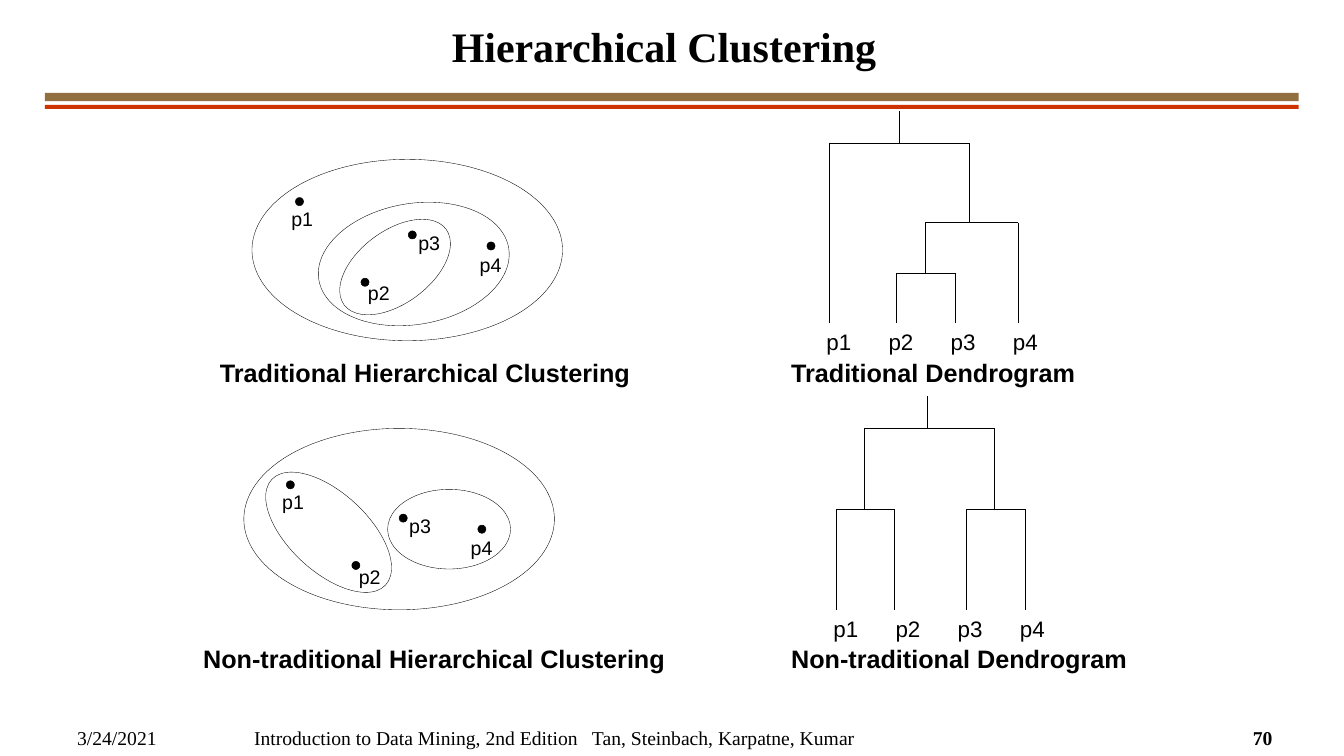
from pptx import Presentation
from pptx.dml.color import RGBColor
from pptx.enum.shapes import MSO_CONNECTOR, MSO_SHAPE
from pptx.enum.text import MSO_ANCHOR, MSO_AUTO_SIZE, PP_ALIGN
from pptx.oxml.ns import qn
from pptx.util import Pt
from lxml import etree

LINE, RECT, OVAL = MSO_CONNECTOR.STRAIGHT, MSO_SHAPE.RECTANGLE, MSO_SHAPE.OVAL
LOW, MID, FIXED = MSO_ANCHOR.BOTTOM, PP_ALIGN.CENTER, MSO_AUTO_SIZE.NONE
SANS, SERIF, BLACK = "Arial", "Times New Roman", "000000"

# Content: all lengths in points
TITLE = "Hierarchical Clustering"
BARS = [(66.4, 5.8, "916F40"), (75, 2.9, "CC3300")]  # top, height, colour
FOOT = [  # text, left, width, bold, tab step
    ("3/24/2021", 48, 128, False, 0),
    ("Introduction to Data Mining, 2nd Edition\tTan, Steinbach, Karpatne, Kumar",
     174.4, 512, False, 241.4),
    ("70", 887.8, 31.7, True, 0),
]
HEADS = [  # text, left, top, width
    ("Traditional Hierarchical Clustering", 150, 252, 312),
    ("Traditional Dendrogram", 558, 252, 264),
    ("Non-traditional Hierarchical Clustering", 138, 456, 348),
    ("Non-traditional Dendrogram", 558, 456, 300),
]
POINTS = [  # name, dot left and top, label left and top
    ("p1", 211, 141.1, 208.1, 147.6),
    ("p2", 257.8, 198.7, 262.8, 200.9),
    ("p3", 291.6, 164.9, 298.8, 164.9),
    ("p4", 347.8, 172.8, 342.7, 180.7),
]
SETS = [  # shift of the points, then rings: left, top, width, height, turn
    ((0, 0), [(256.3, 145.4, 51.8, 90.7, 53.4),
              (226.8, 145.4, 137.5, 86.4, 350.4),
              (180, 113.8, 221.8, 129.6, 0)]),
    ((-6.5, 202.3), [(292.3, 334.1, 56.9, 87.8, 90),
                     (179.3, 352.1, 110.9, 56.2, 42.8),
                     (174.2, 306, 221.8, 129.6, 0)]),
]
# Tree node: x of its stem, y of its bar, children; a leaf is just its x
TREES = [  # root, stem top, leaf base, left of names
    ((642, 102, [592, (692, 159, [(661, 195, [640, 682]), 727])]),
     79.2, 231, 583.2),
    ((662, 306, [(617, 363.6, [597, 639]), (710, 363.6, [690, 732])]),
     283, 435.6, 588.2),
]
STEP = 44.4  # gap between leaf names
DOT = 5.8

deck = Presentation()
deck.slide_width, deck.slide_height = Pt(960), Pt(540)
slide = deck.slides.add_slide(deck.slide_layouts[5])
shapes = slide.shapes


def paint(hue):
    return RGBColor.from_string(hue)


def style(para, size, face, bold=False):
    font = para.font
    font.size, font.name, font.bold = Pt(size), face, bold
    font.color.rgb = paint(BLACK)


def write(text, x, y, w, h, size, face, bold=False, pad=True, step=0):
    frame = shapes.add_textbox(Pt(x), Pt(y), Pt(w), Pt(h)).text_frame
    frame.word_wrap = True
    if not pad:
        frame.margin_left = frame.margin_right = 0
        frame.margin_top = frame.margin_bottom = 0
    para = frame.paragraphs[0]
    para.text = text
    if step:
        tabs = etree.SubElement(para._p.get_or_add_pPr(), qn("a:tabLst"))
        for n in range(text.count("\t")):
            etree.SubElement(tabs, qn("a:tab"),
                             pos=str(Pt(step * (n + 1))), algn="l")
    style(para, size, face, bold)


def draw(kind, x, y, w, h, fill=None, line=None, turn=0):
    shape = shapes.add_shape(kind, Pt(x), Pt(y), Pt(w), Pt(h))
    shape.shadow.inherit = False
    shape.rotation = turn
    if fill:
        shape.fill.solid()
        shape.fill.fore_color.rgb = paint(fill)
    else:
        shape.fill.background()
    if line:
        shape.line.color.rgb, shape.line.width = paint(BLACK), Pt(line)
    else:
        shape.line.fill.background()


def link(x1, y1, x2, y2):
    line = shapes.add_connector(LINE, Pt(x1), Pt(y1), Pt(x2), Pt(y2))
    line.line.color.rgb, line.line.width = paint(BLACK), Pt(0.25)
    etree.SubElement(line._element.spPr, qn("a:effectLst"))


def grow(node, top, base):
    """Draw the stem of a node from top, then its bar and children."""
    if not isinstance(node, tuple):
        link(node, top, node, base)
        return node
    x, y, kids = node
    link(x, top, x, y)
    ends = [grow(kid, y, base) for kid in kids]
    link(ends[0], y, ends[-1], y)
    return x


# Title and rules
title = shapes.title
title.left, title.top, title.width, title.height = Pt(40), Pt(12), Pt(869), Pt(42)
frame = title.text_frame
frame.text = TITLE
frame.auto_size, frame.vertical_anchor = FIXED, LOW
head = frame.paragraphs[0]
head.alignment, head.line_spacing = MID, Pt(36)
style(head, 30, SERIF, True)
for y, h, hue in BARS:
    draw(RECT, 32, y, 895.7, h, hue)

# Footer and captions
for text, x, w, bold, step in FOOT:
    write(text, x, 514.8, w, 24.5, 14, SERIF, bold, step=step)
for text, x, y, w in HEADS:
    write(text, x, y, w, 29, 18, SANS, True)

# Nested clusters
for (dx, dy), rings in SETS:
    for name, x, y, tx, ty in POINTS:
        draw(OVAL, x + dx, y + dy, DOT, DOT, BLACK, 0.38)
    for x, y, w, h, turn in rings:
        draw(OVAL, x, y, w, h, line=0.25, turn=turn)
    for name, x, y, tx, ty in POINTS:
        write(name, tx + dx, ty + dy, 19, 17, 14, SANS, pad=False)

# Dendrograms
names = "\t".join(point[0] for point in POINTS)
for root, top, base, x in TREES:
    write(names, x, base, 168, 26.6, 16, SANS, step=STEP)
    grow(root, top, base)

deck.save("out.pptx")
